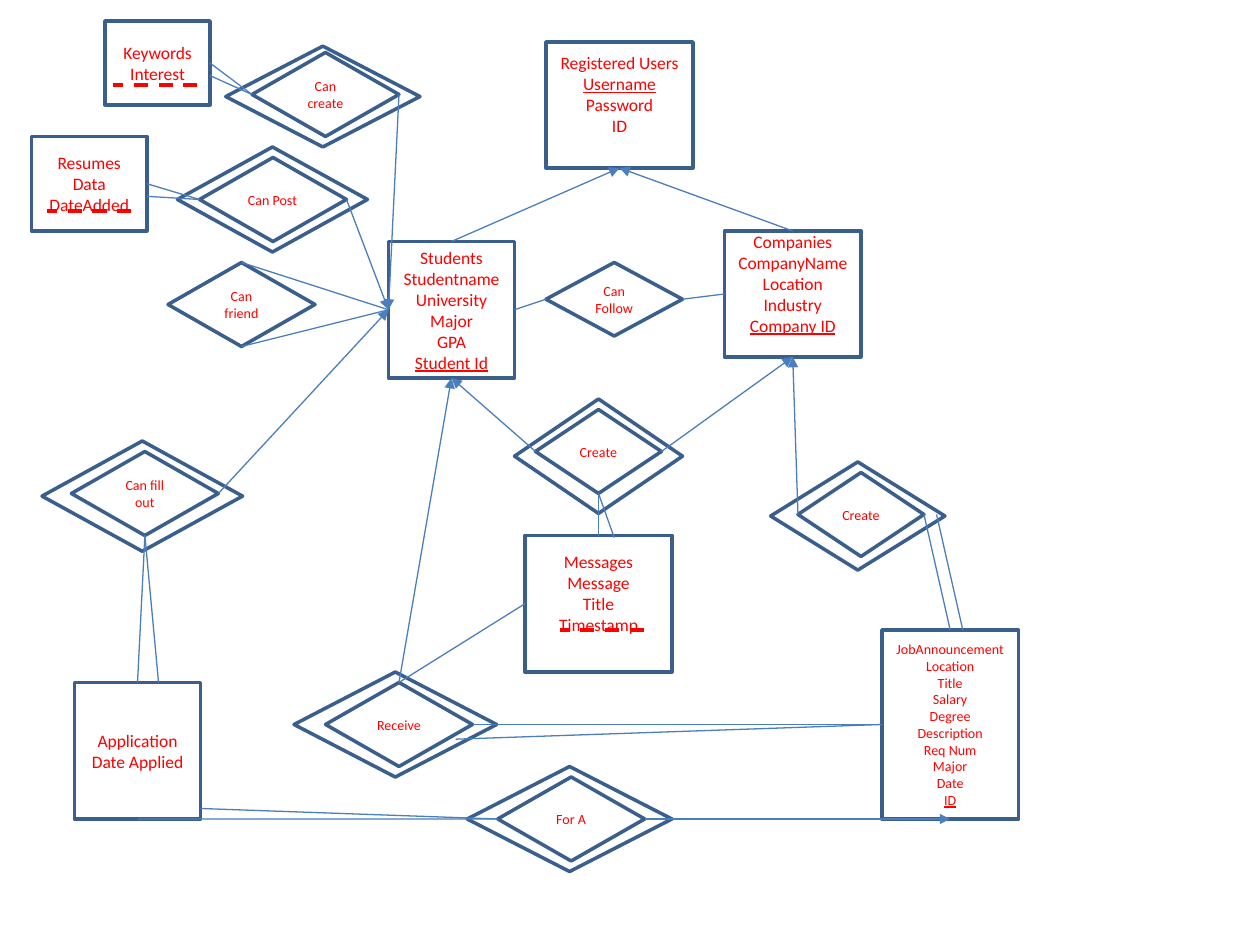
from dataclasses import dataclass, field

from lxml import etree
from pptx import Presentation
from pptx.dml.color import RGBColor
from pptx.enum.dml import MSO_LINE
from pptx.enum.shapes import MSO_CONNECTOR, MSO_SHAPE
from pptx.enum.text import MSO_ANCHOR, PP_ALIGN
from pptx.oxml.ns import qn
from pptx.util import Inches, Pt

RECTANGLE = MSO_SHAPE.RECTANGLE
DIAMOND = MSO_SHAPE.DIAMOND
STRAIGHT = MSO_CONNECTOR.STRAIGHT
DASH = MSO_LINE.DASH
MIDDLE = MSO_ANCHOR.MIDDLE
CENTER = PP_ALIGN.CENTER
TOP, LEFT, BOTTOM, RIGHT = range(4)
COLORS = {"outline": "3A5F8C", "link": "4B7EBC", "text": "FF0000"}
FONT = "Calibri"
CELLS_PER_INCH = 12
BLANK_LAYOUT = 6


def grid(cells):
    return Inches(cells / CELLS_PER_INCH)


def color(name):
    return RGBColor.from_string(COLORS[name])


@dataclass
class Diagram:
    slide: object
    nodes: dict = field(default_factory=dict)

    def outline(self, kind, box):
        shape = self.slide.shapes.add_shape(kind, *map(grid, box))
        shape.shadow.inherit = False
        shape.fill.background()
        shape.line.color.rgb = color("outline")
        shape.line.width = Pt(2)
        return shape

    def label(self, shape, lines, size, key=None, bottom=0.05):
        frame = shape.text_frame
        frame.word_wrap = True
        frame.vertical_anchor = MIDDLE
        frame.margin_bottom = Inches(bottom)
        for index, line in enumerate(lines):
            paragraph = frame.add_paragraph() if index else frame.paragraphs[0]
            paragraph.alignment = CENTER
            run = paragraph.add_run()
            run.text = line
            run.font.name = FONT
            run.font.size = Pt(size)
            run.font.color.rgb = color("text")
            if line == key:
                run.font.underline = True

    def entity(self, name, box, lines, size=10, key=None, bottom=0.05):
        self.nodes[name] = self.outline(RECTANGLE, box)
        self.label(self.nodes[name], lines, size, key, bottom)

    def relation(self, name, box, lines, outer=None, text_in_outer=False):
        self.nodes[name] = shape = self.outline(DIAMOND, box)
        if outer:
            frame = self.outline(DIAMOND, outer)
            if text_in_outer:
                shape = frame
        self.label(shape, lines, 8)

    def line(self, start, end, line_color, width):
        connector = self.slide.shapes.add_connector(STRAIGHT, *map(grid, start + end))
        connector.line.color.rgb = color(line_color)
        connector.line.width = Pt(width)
        etree.SubElement(connector.element.spPr, qn("a:effectLst"))
        return connector

    def link(self, start, end, arrow=None):
        connector = self.line((0, 0), (0, 0), "link", 0.75)
        connector.begin_connect(self.nodes[start[0]], start[1])
        if end[0] in self.nodes:
            connector.end_connect(self.nodes[end[0]], end[1])
        else:
            connector.end_x, connector.end_y = map(grid, end)
        if arrow:
            etree.SubElement(connector.get_or_add_ln(), qn(f"a:{arrow}End"), type="triangle")

    def partial_key(self, left, row):
        self.line((left + 8, row), (left, row), "text", 2).line.dash_style = DASH


ENTITIES = [
    ("students", (37, 23, 12, 13),
     ["Students", "Studentname", "University", "Major", "GPA", "Student Id"], 10, "Student Id"),
    ("users", (52, 4, 14, 12),
     ["Registered Users", "Username", "Password", "ID"], 10, "Username", 0.22),
    ("companies", (69, 22, 13, 12),
     ["Companies", "CompanyName", "Location", "Industry", "Company ID"], 10, "Company ID", 0.22),
    ("job", (84, 60, 13, 18),
     ["JobAnnouncement", "Location", "Title", "Salary", "Degree", "Description",
      "Req Num", "Major", "Date", "ID"], 8, "ID"),
    ("messages", (50, 51, 14, 13),
     ["Messages", "Message", "Title", "Timestamp"], 10, None, 0.22),
    ("keywords", (10, 2, 10, 8), ["Keywords", "Interest"]),
    ("resumes", (3, 13, 11, 9), ["Resumes", "Data", "DateAdded"]),
    ("application", (7.1, 65, 12, 13), ["Application", "Date Applied"]),
]

RELATIONS = [
    ("create job", (76, 45, 12, 8), ["Create"], (73.4, 44, 16.6, 10.3)),
    ("create message", (51, 39, 12, 8), ["Create"], (49, 38, 16, 10.9)),
    ("receive", (31, 65, 14, 8), ["Receive"], (28, 64, 19.3, 10)),
    ("create keyword", (24, 5, 14, 8), ["Can create"], (21.5, 4.4, 18.5, 9.6)),
    ("post", (19, 15, 14, 8), ["Can Post"], (16.9, 14, 18.1, 10), True),
    ("friend", (16, 25, 14, 8), ["Can friend"]),
    ("follow", (52, 25, 13, 7), ["Can", "Follow"]),
    ("fill out", (6.8, 43, 14, 8), ["Can fill out"], (4, 42, 19.1, 10.5)),
    ("for a", (47.4, 74, 14, 8), ["For A"], (44.5, 73, 19.5, 10)),
]

LINKS = [
    (("students", TOP), ("users", BOTTOM), "tail"),
    (("companies", TOP), ("users", BOTTOM), "tail"),
    (("companies", BOTTOM), ("create job", LEFT), "head"),
    (("create job", RIGHT), ("job", TOP)),
    (("companies", BOTTOM), ("create message", RIGHT), "head"),
    (("students", BOTTOM), ("create message", LEFT), "head"),
    (("create message", BOTTOM), ("messages", TOP)),
    (("create message", BOTTOM), (58.5, 51.2)),
    (("students", BOTTOM), ("receive", TOP), "head"),
    (("receive", TOP), ("messages", LEFT)),
    (("create keyword", LEFT), ("keywords", RIGHT)),
    (("create keyword", LEFT), (20, 7.2)),
    (("students", LEFT), ("create keyword", RIGHT), "head"),
    (("students", LEFT), ("post", RIGHT), "head"),
    (("post", LEFT), ("resumes", RIGHT)),
    (("post", LEFT), (14, 18.7)),
    (("students", LEFT), ("friend", BOTTOM)),
    (("students", LEFT), ("friend", TOP)),
    (("students", RIGHT), ("follow", LEFT)),
    (("follow", RIGHT), ("companies", LEFT)),
    (("job", LEFT), ("receive", RIGHT)),
    (("job", LEFT), (43.4, 70.4)),
    (("students", LEFT), ("fill out", RIGHT), "head"),
    (("fill out", BOTTOM), ("application", TOP)),
    (("fill out", BOTTOM), (15.1, 65)),
    (("for a", LEFT), ("application", BOTTOM)),
    (("for a", LEFT), (19.1, 77)),
    (("job", BOTTOM), ("for a", RIGHT), "head"),
]

PARTIAL_KEYS = [(4.5, 20.1), (10.8, 8.1), (53.3, 60)]


def main():
    presentation = Presentation()
    presentation.slide_width = Inches(10)
    presentation.slide_height = Inches(7.5)
    slide = presentation.slides.add_slide(presentation.slide_layouts[BLANK_LAYOUT])
    diagram = Diagram(slide)
    for entity in ENTITIES:
        diagram.entity(*entity)
    for relation in RELATIONS:
        diagram.relation(*relation)
    for link in LINKS:
        diagram.link(*link)
    diagram.line((89.2, 49), (91.7, 60), "link", 0.75)
    for left, row in PARTIAL_KEYS:
        diagram.partial_key(left, row)
    presentation.save("out.pptx")


if __name__ == "__main__":
    main()
